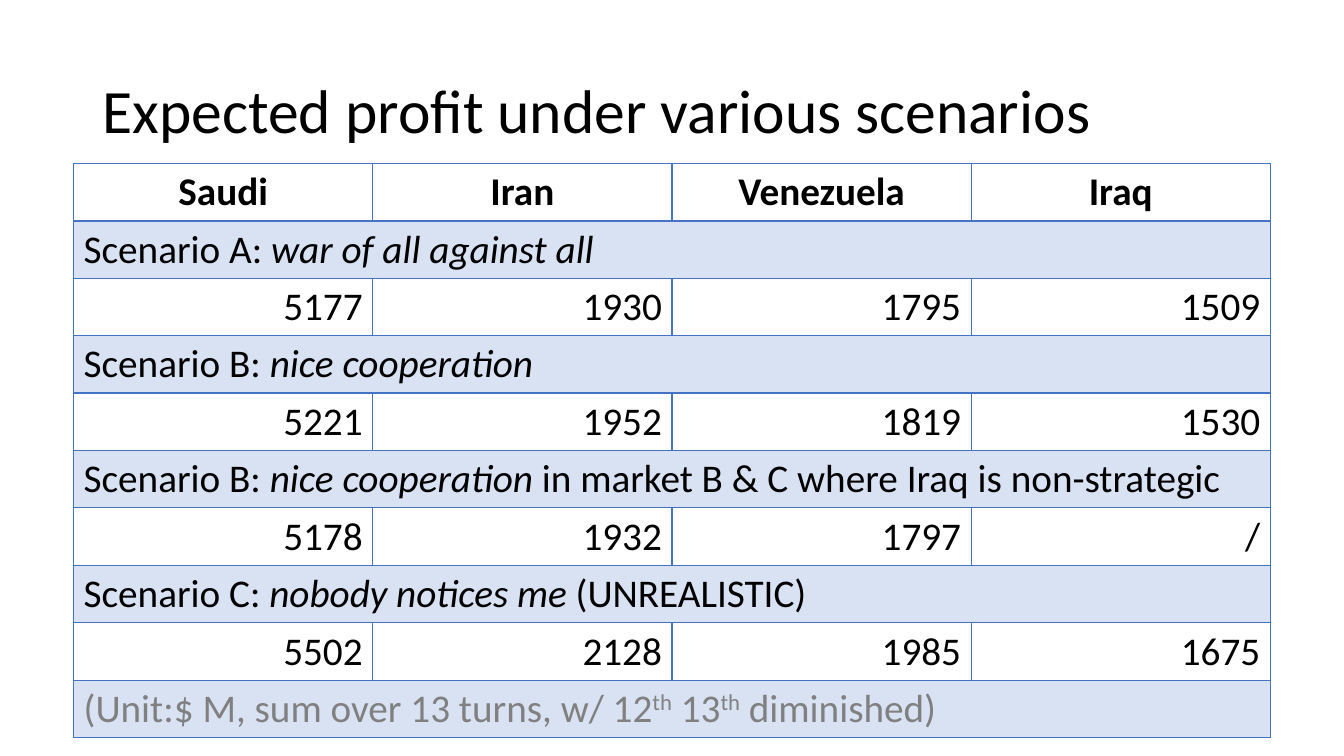
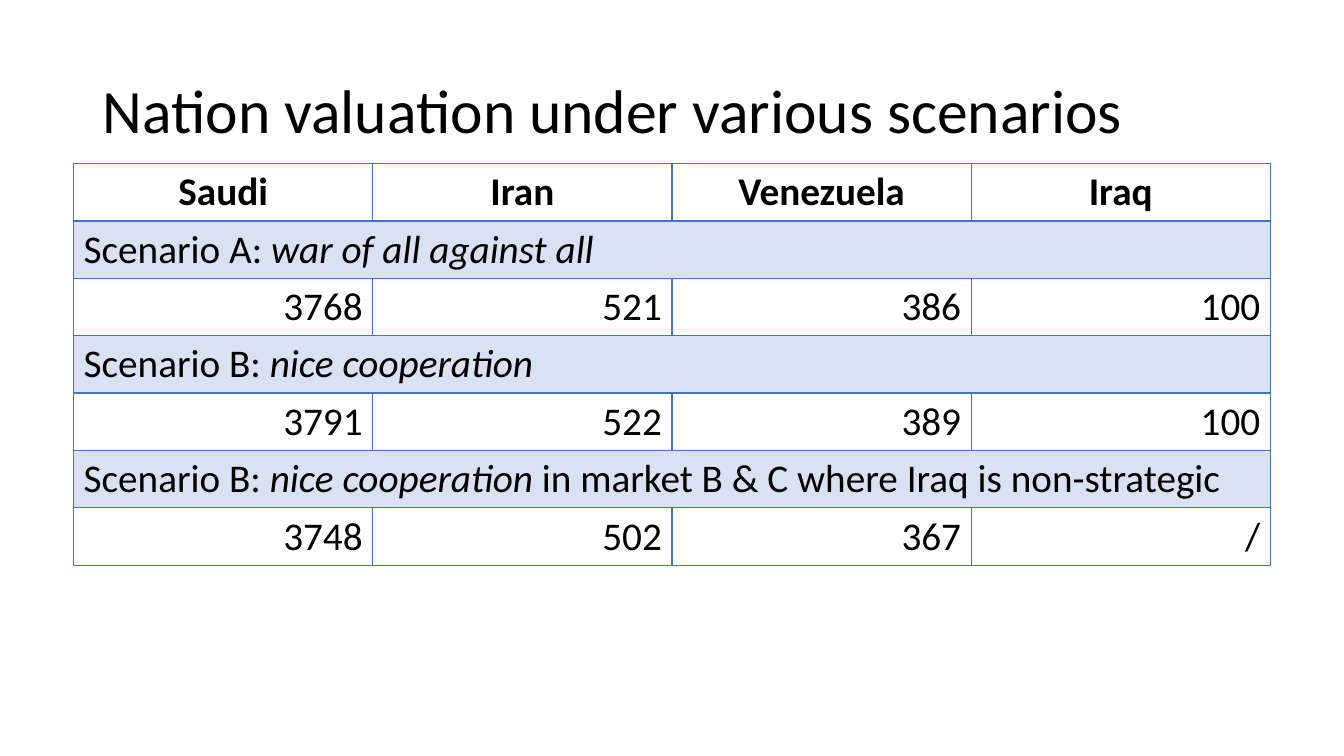
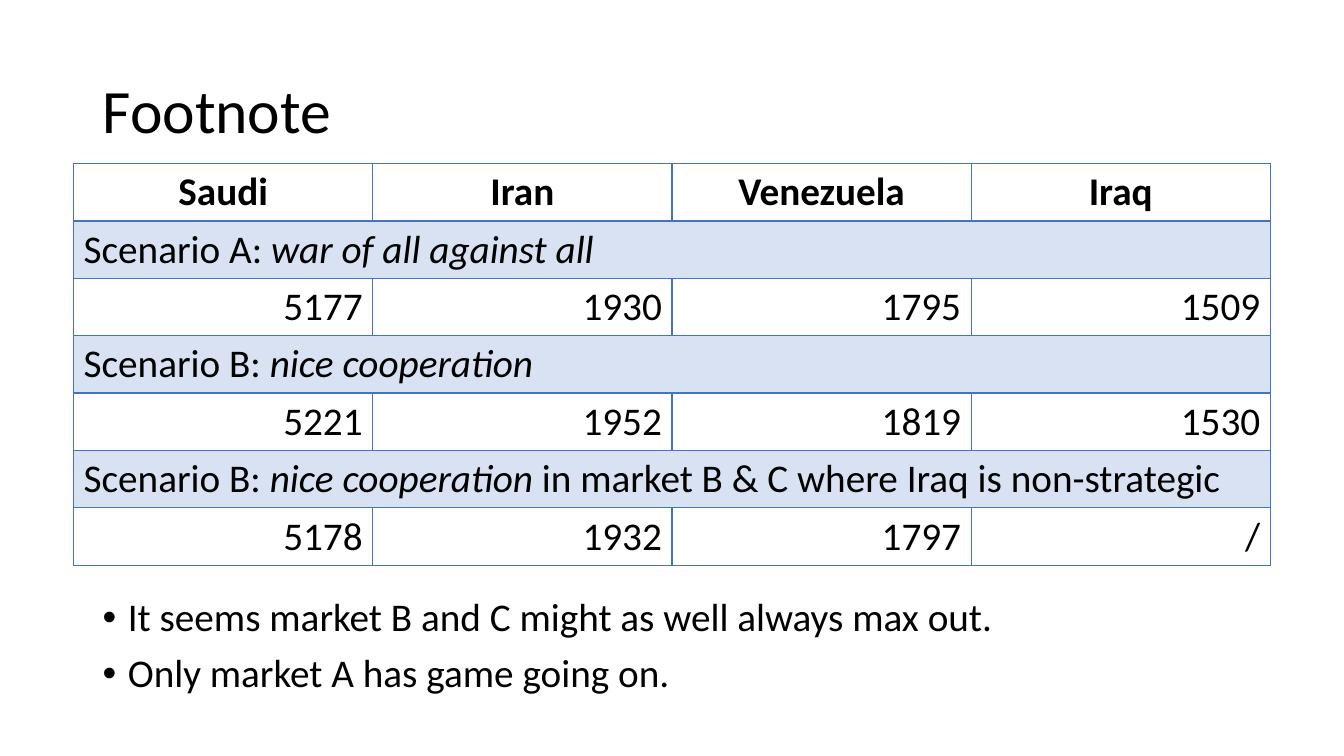
from dataclasses import dataclass

from lxml import etree
from pptx import Presentation
from pptx.dml.color import RGBColor
from pptx.enum.text import MSO_ANCHOR, PP_ALIGN
from pptx.oxml.ns import qn
from pptx.util import Emu, Inches, Pt

LEFT, CENTER, RIGHT = PP_ALIGN.LEFT, PP_ALIGN.CENTER, PP_ALIGN.RIGHT
TOP, MIDDLE = MSO_ANCHOR.TOP, MSO_ANCHOR.MIDDLE


@dataclass(frozen=True)
class Theme:
    font: str = "Calibri"
    title_size: int = 44
    body_size: int = 28
    ink: str = "000000"
    muted: str = "808080"
    accent: str = "4472C4"
    paper: str = "FFFFFF"
    band_opacity: int = 20
    rule: float = 1
    header_rule: float = 2
    line_spacing: float = 0.9


THEME = Theme()
TITLE_BOX = (0.92, 0.4, 11.5, 1.45)
TABLE_BOX = (0.73, 1.62, 11.87)
NOTES_BOX = (0.92, 5.88, 11.5, 1.38)
ROW_HEIGHT = 0.57

ITALIC = {"italic": True}
SUPER = {"baseline": 30}
NATIONS = ["Saudi", "Iran", "Venezuela", "Iraq"]

WAR = ["Scenario A: ", ("war of all against all", ITALIC)]
COOPERATION = ["Scenario B: ", ("nice cooperation", ITALIC)]
IRAQ_PASSIVE = COOPERATION + [" in market B & C where Iraq is non-strategic"]
UNNOTICED = ["Scenario C: ", ("nobody notices me ", ITALIC), "(UNREALISTIC)"]
UNIT = ["(Unit:$ M, sum over 13 turns, w/ 12", ("th", SUPER),
        " 13", ("th", SUPER), " diminished)"]

PROFITS = [
    (WAR, ["5177", "1930", "1795", "1509"]),
    (COOPERATION, ["5221", "1952", "1819", "1530"]),
    (IRAQ_PASSIVE, ["5178", "1932", "1797", "/"]),
]
UNNOTICED_PROFITS = (UNNOTICED, ["5502", "2128", "1985", "1675"])
VALUATIONS = [
    (WAR, ["3768", "521", "386", "100"]),
    (COOPERATION, ["3791", "522", "389", "100"]),
    (IRAQ_PASSIVE, ["3748", "502", "367", "/"]),
]
REMARKS = ["It seems market B and C might as well always max out.",
           "Only market A has game going on."]


def write(paragraph, pieces, size=THEME.body_size, color=THEME.ink,
          bold=False, align=LEFT, spacing=None, before=None):
    """Fill a paragraph with pieces: plain strings or (string, format) pairs."""
    paragraph.alignment = align
    paragraph.line_spacing = spacing
    paragraph.space_before = before
    for piece in [pieces] if isinstance(pieces, str) else pieces:
        words, style = (piece, {}) if isinstance(piece, str) else piece
        run = paragraph.add_run()
        run.text = words
        run.font.name = THEME.font
        run.font.size = Pt(size)
        run.font.bold = bold
        run.font.italic = style.get("italic", False)
        run.font.color.rgb = RGBColor.from_string(color)
        if "baseline" in style:
            run.font._element.set("baseline", str(style["baseline"] * 1000))


def add_bullet(paragraph, indent):
    properties = paragraph._p.get_or_add_pPr()
    properties.set("marL", str(indent))
    properties.set("indent", str(-indent))
    etree.SubElement(properties, qn("a:buFont"), typeface="Arial")
    etree.SubElement(properties, qn("a:buChar"), char="•")


def add_frame(slide, box, anchor):
    frame = slide.shapes.add_textbox(*map(Inches, box)).text_frame
    frame.word_wrap = True
    frame.vertical_anchor = anchor
    return frame


def add_title(slide, title, box=TITLE_BOX):
    frame = add_frame(slide, box, MIDDLE)
    write(frame.paragraphs[0], title, size=THEME.title_size,
          spacing=THEME.line_spacing)


def add_remarks(slide, remarks, box=NOTES_BOX):
    frame = add_frame(slide, box, TOP)
    for index, remark in enumerate(remarks):
        paragraph = frame.add_paragraph() if index else frame.paragraphs[0]
        write(paragraph, remark, spacing=THEME.line_spacing, before=Pt(10))
        add_bullet(paragraph, Inches(0.25))


def set_fill(cell, color, opacity=100):
    cell.fill.solid()
    cell.fill.fore_color.rgb = RGBColor.from_string(color)
    if opacity < 100:
        swatch = cell._tc.tcPr.find(".//" + qn("a:srgbClr"))
        etree.SubElement(swatch, qn("a:alpha"), val=str(opacity * 1000))


def set_borders(cell, top, bottom):
    widths = {"lnL": THEME.rule, "lnR": THEME.rule, "lnT": top, "lnB": bottom}
    properties = cell._tc.get_or_add_tcPr()
    for position, (side, width) in enumerate(widths.items()):
        line = etree.Element(qn("a:" + side), w=str(Pt(width)))
        solid = etree.SubElement(line, qn("a:solidFill"))
        etree.SubElement(solid, qn("a:srgbClr"), val=THEME.accent)
        properties.insert(position, line)


def add_scenario_table(slide, scenarios, unit=None, box=TABLE_BOX):
    """Nations on top, then a band and a row of figures for each scenario."""
    left, top, width = map(Inches, box)
    columns = len(NATIONS)
    row_count = 1 + 2 * len(scenarios) + bool(unit)
    table = slide.shapes.add_table(row_count, columns, left, top, width,
                                   Inches(ROW_HEIGHT * row_count)).table
    table.first_row = table.horz_banding = False
    for column in table.columns:
        column.width = Emu(width // columns)

    def fill_row(row, entries, **style):
        for column, entry in enumerate(entries):
            write(table.cell(row, column).text_frame.paragraphs[0],
                  entry, **style)

    def fill_band(row, label, **style):
        table.cell(row, 0).merge(table.cell(row, columns - 1))
        fill_row(row, [label], **style)

    for row in range(row_count):
        is_band = row % 2 == 1
        for column in range(columns):
            cell = table.cell(row, column)
            if is_band:
                set_fill(cell, THEME.accent, THEME.band_opacity)
            else:
                set_fill(cell, THEME.paper)
            set_borders(cell,
                        top=THEME.header_rule if row == 1 else THEME.rule,
                        bottom=THEME.header_rule if row == 0 else THEME.rule)

    fill_row(0, NATIONS, bold=True, align=CENTER)
    for index, (label, figures) in enumerate(scenarios):
        fill_band(2 * index + 1, label)
        fill_row(2 * index + 2, figures, align=RIGHT)
    if unit:
        fill_band(row_count - 1, unit, color=THEME.muted)


def add_scenario_slide(deck, title, scenarios, unit=None, remarks=()):
    slide = deck.slides.add_slide(deck.slide_layouts[6])
    add_title(slide, title)
    add_scenario_table(slide, scenarios, unit)
    if remarks:
        add_remarks(slide, remarks)


def main():
    deck = Presentation()
    deck.slide_width, deck.slide_height = Inches(13.33), Inches(7.5)
    add_scenario_slide(deck, "Expected profit under various scenarios",
                       PROFITS + [UNNOTICED_PROFITS], unit=UNIT)
    add_scenario_slide(deck, "Nation valuation under various scenarios",
                       VALUATIONS)
    add_scenario_slide(deck, "Footnote", PROFITS, remarks=REMARKS)
    deck.save("out.pptx")


if __name__ == "__main__":
    main()
